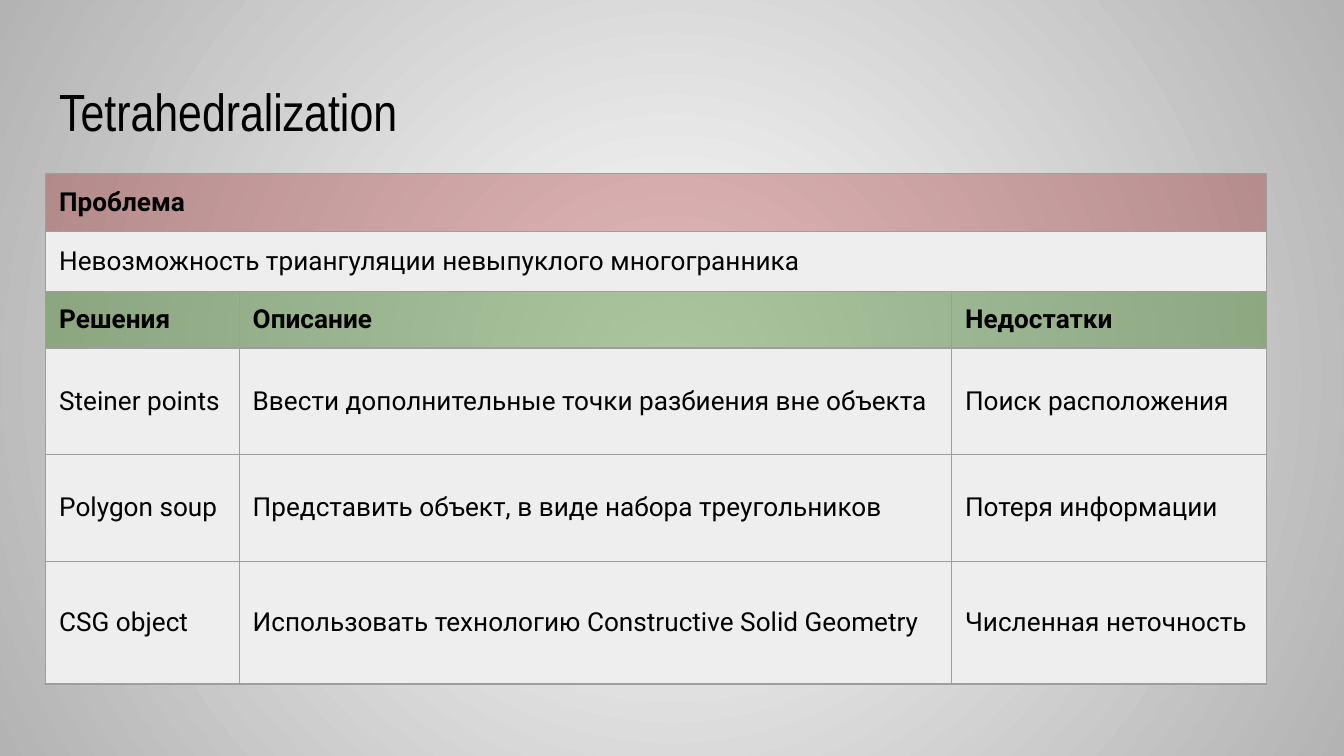
from dataclasses import dataclass
from typing import Any

from lxml.etree import SubElement
from pptx import Presentation
from pptx.dml.color import RGBColor as Color
from pptx.enum.text import MSO_ANCHOR as Anchor, MSO_AUTO_SIZE as AutoSize, PP_ALIGN as Align
from pptx.oxml.ns import qn
from pptx.util import Pt

COLORS = {
    "text": "000000",
    "center": "FFFFFF",
    "edge": "B3B3B3",
    "border": "9E9E9E",
    "problem": "990000",
    "solution": "588C41",
    "body": "EEEEEE",
}
LEFT = 24.5
MARGINS = {f"margin_{side}": Pt(7.2) for side in ("left", "top", "right", "bottom")}
TITLE_FONT = {"name": "Arial Narrow", "size": Pt(28), "bold": False}
TABLE_FONT = {"name": "Roboto", "size": Pt(14)}


@dataclass
class TableSpec:
    top: float
    widths: list[float]
    heights: list[float]
    header_color: str
    header_opacity: int
    rows: list[list[str]]


TABLES = [
    TableSpec(155.5, [103.7, 381.6, 168.5], [28.1, 56.9, 57.6, 65.5], "solution", 50, [
        ["Решения", "Описание", "Недостатки"],
        ["Steiner points", "Ввести дополнительные точки разбиения вне объекта",
         "Поиск расположения"],
        ["Polygon soup", "Представить объект, в виде набора треугольников",
         "Потеря информации"],
        ["CSG object", "Использовать технологию Constructive Solid Geometry",
         "Численная неточность"],
    ]),
    TableSpec(92.9, [653.8], [25.9, 32.4], "problem", 27, [
        ["Проблема"],
        ["Невозможность триангуляции невыпуклого многогранника"],
    ]),
]


def apply_format(target: Any, values: dict[str, Any]) -> None:
    for name, value in values.items():
        setattr(target, name, value)


def rgb(name: str) -> Color:
    return Color.from_string(COLORS[name])


def paint_background(slide: Any) -> None:
    fill = slide.background.fill
    fill.gradient()
    for stop, name in zip(fill.gradient_stops, ("center", "edge")):
        stop.color.rgb = rgb(name)
    # Turn the linear gradient into a circular one
    gradient = slide.element.find(".//" + qn("a:gradFill"))
    gradient.remove(gradient.find(qn("a:lin")))
    circle = SubElement(gradient, qn("a:path"), path="circle")
    SubElement(circle, qn("a:fillToRect"), {side: "50000" for side in "ltrb"})


def add_title(slide: Any, text: str) -> None:
    title = slide.shapes.title
    apply_format(title, {"left": Pt(LEFT), "top": Pt(35.3),
                         "width": Pt(671), "height": Pt(45.4)})
    frame = title.text_frame
    frame.text = text
    apply_format(frame, MARGINS | {"vertical_anchor": Anchor.TOP, "word_wrap": True,
                                   "auto_size": AutoSize.NONE})
    paragraph = frame.paragraphs[0]
    paragraph.alignment = Align.LEFT
    apply_format(paragraph.font, TITLE_FONT)
    paragraph.font.color.rgb = rgb("text")


def add_borders(cell: Any) -> None:
    properties = cell._tc.get_or_add_tcPr()
    for index, side in enumerate("LRTB"):
        line = SubElement(properties, qn(f"a:ln{side}"), w=str(Pt(0.75)))
        fill = SubElement(line, qn("a:solidFill"))
        SubElement(fill, qn("a:srgbClr"), val=COLORS["border"])
        properties.insert(index, line)  # borders come before the cell fill


def format_cell(cell: Any, text: str, color: str, opacity: int, bold: bool) -> None:
    cell.text = text
    apply_format(cell, MARGINS | {"vertical_anchor": Anchor.MIDDLE})
    font = cell.text_frame.paragraphs[0].font
    apply_format(font, TABLE_FONT | {"bold": bold})
    font.color.rgb = rgb("text")
    cell.fill.solid()
    cell.fill.fore_color.rgb = rgb(color)
    if opacity < 100:
        fill_color = cell._tc.tcPr.find(".//" + qn("a:srgbClr"))
        SubElement(fill_color, qn("a:alpha"), val=str(opacity * 1000))
    add_borders(cell)


def add_table(slide: Any, spec: TableSpec) -> None:
    table = slide.shapes.add_table(
        len(spec.heights), len(spec.widths), Pt(LEFT), Pt(spec.top),
        Pt(sum(spec.widths)), Pt(sum(spec.heights))).table
    apply_format(table, {"first_row": False, "horz_banding": False})
    for column, width in zip(table.columns, spec.widths):
        column.width = Pt(width)
    for row, height, texts in zip(table.rows, spec.heights, spec.rows):
        row.height = Pt(height)
        header = texts is spec.rows[0]
        color, opacity = (spec.header_color, spec.header_opacity) if header else ("body", 100)
        for cell, text in zip(row.cells, texts):
            format_cell(cell, text, color, opacity, header)


def main() -> None:
    presentation = Presentation()
    apply_format(presentation, {"slide_width": Pt(720), "slide_height": Pt(405)})
    slide = presentation.slides.add_slide(presentation.slide_layouts.get_by_name("Title Only"))

    # Background and title
    paint_background(slide)
    add_title(slide, "Tetrahedralization")

    # Solutions table, then the problem table above it
    for spec in TABLES:
        add_table(slide, spec)

    presentation.save("out.pptx")


if __name__ == "__main__":
    main()
